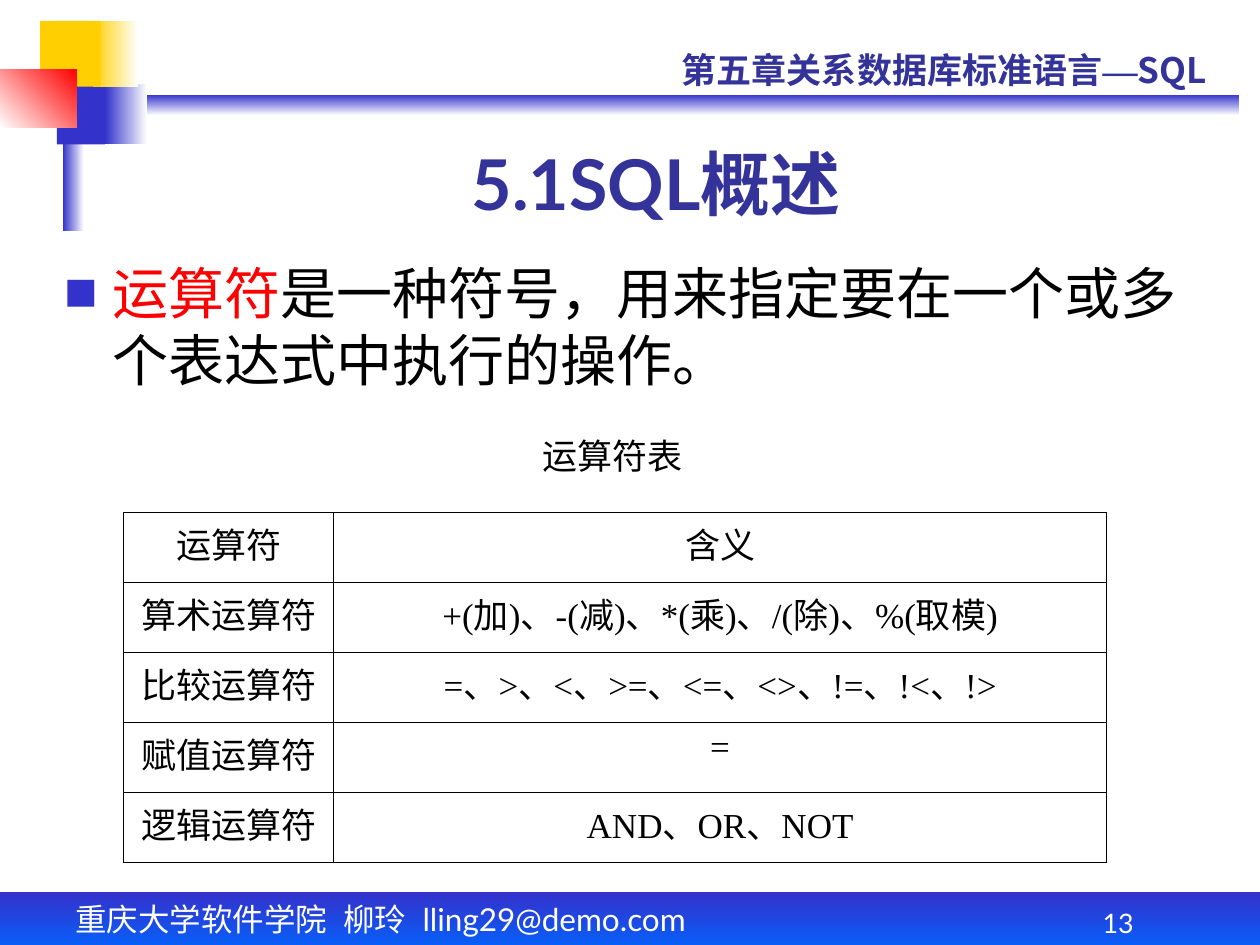
import itertools

import lxml.etree
import pptx
import pptx.dml.color
import pptx.enum.shapes
import pptx.enum.text
import pptx.oxml.ns
import pptx.util

Pt = pptx.util.Pt
RGBColor = pptx.dml.color.RGBColor
Anchor = pptx.enum.text.MSO_ANCHOR
Align = pptx.enum.text.PP_ALIGN
qn = pptx.oxml.ns.qn

BLUE = RGBColor(0x33, 0x33, 0xCC)
BRIGHT_BLUE = RGBColor(0x00, 0x66, 0xFF)
NAVY = RGBColor(0x33, 0x33, 0x99)
YELLOW = RGBColor(0xFF, 0xCF, 0x01)
RED = RGBColor(0xFF, 0x00, 0x00)
WHITE = RGBColor(0xFF, 0xFF, 0xFF)
BLACK = RGBColor(0x00, 0x00, 0x00)
LATO = "Lato"
SANS = "Noto Sans CJK SC"
SERIF = "Times New Roman"


def add_spans(para, spans, **formats):
    for text, font_name, color in spans:
        span = para.add_run()
        span.text = text
        span.font.color.rgb = color
        for name, value in {"name": font_name, **formats}.items():
            setattr(span.font, name, value)
        east_asian = lxml.etree.SubElement(span.font._element, qn("a:ea"))
        east_asian.set("typeface", font_name)


def add_text(page, place, spans, anchor=Anchor.TOP, align=Align.LEFT, **formats):
    box = page.shapes.add_textbox(*map(Pt, place))
    for name, value in {"word_wrap": True, "vertical_anchor": anchor}.items():
        setattr(box.text_frame, name, value)
    para = box.text_frame.paragraphs[0]
    para.alignment = align
    add_spans(para, spans, **formats)
    return para


deck = pptx.Presentation()
deck.slide_width, deck.slide_height = Pt(720), Pt(540)
page = deck.slides.add_slide(deck.slide_layouts[6])

decorations = [
    ((42, 54, 666, 12), (BLUE, WHITE), 270),
    ((60, 48, 24, 34.5), (BLUE, WHITE), 0),
    ((0, 510, 720, 36), (BLUE, BRIGHT_BLUE), 270),
    ((36, 42, 12, 90), (BLUE, WHITE), 0),
    ((32.5, 48, 27.5, 34.5), (BLUE,), 0),
    ((53, 12, 26, 37.5), (YELLOW, WHITE), 0),
    ((23, 12, 34.5, 37.5), (YELLOW,), 0),
    ((0, 39.5, 44, 33.25), (WHITE, RED), 45),
]
for place, colors, angle in decorations:
    block = page.shapes.add_shape(
        pptx.enum.shapes.MSO_SHAPE.RECTANGLE, *map(Pt, place))
    block.shadow.inherit = False
    block.line.fill.background()
    if len(colors) == 1:
        block.fill.solid()
        block.fill.fore_color.rgb = colors[0]
    else:
        block.fill.gradient()
        block.fill.gradient_angle = angle
        for position, (stop, color) in enumerate(zip(block.fill.gradient_stops, colors)):
            stop.position = position
            stop.color.rgb = color

add_text(page, (36, 511, 402, 29),
         [("重庆大学软件学院  柳玲  lling29@demo.com", LATO, WHITE)], size=Pt(18))
add_text(page, (382.5, 24, 325.5, 36),
         [("第五章关系数据库标准语言", SANS, NAVY), ("—", SERIF, NAVY), ("SQL", SANS, NAVY)],
         size=Pt(20), bold=True)
add_text(page, (582, 510, 114, 30), [("13", LATO, WHITE)],
         Anchor.BOTTOM, Align.CENTER, size=Pt(15.3))
add_text(page, (90, 84, 570, 48), [("5.1SQL概述", LATO, NAVY)],
         Anchor.BOTTOM, Align.CENTER, size=Pt(40), bold=True)

definition = add_text(
    page, (30, 144, 660, 354),
    [("运算符", LATO, RED),
     ("是一种符号，用来指定要在一个或多个表达式中执行的操作。", LATO, BLACK)],
    size=Pt(32))
properties = definition._p.get_or_add_pPr()
properties.set("marL", str(Pt(27)))
properties.set("indent", str(-Pt(27)))
bullet_color = lxml.etree.SubElement(properties, qn("a:buClr"))
lxml.etree.SubElement(bullet_color, qn("a:srgbClr")).set("val", str(BLUE))
for tag, attribute, value in (
    ("a:buSzPct", "val", "60000"),
    ("a:buFont", "typeface", SANS),
    ("a:buChar", "char", "■"),
):
    lxml.etree.SubElement(properties, qn(tag)).set(attribute, value)

add_text(page, (303, 244, 221, 32), [("运算符表", SANS, BLACK)],
         Anchor.MIDDLE, size=Pt(20))

operators = [
    ("运算符", "含义"),
    ("算术运算符", "+(加)、-(减)、*(乘)、/(除)、%(取模)"),
    ("比较运算符", "=、>、<、>=、<=、<>、!=、!<、!>"),
    ("赋值运算符", "="),
    ("逻辑运算符", "AND、OR、NOT"),
]
table = page.shapes.add_table(
    len(operators), 2, Pt(70.75), Pt(292.5), Pt(561.5), Pt(200)).table
table.first_row = table.horz_banding = False
for column, width in zip(table.columns, (120, 441.5)):
    column.width = Pt(width)
for row, texts in zip(table.rows, operators):
    row.height = Pt(40)
    for cell, text in zip(row.cells, texts):
        cell_properties = cell._tc.get_or_add_tcPr()
        for side in ("a:lnL", "a:lnR", "a:lnT", "a:lnB"):
            border = lxml.etree.SubElement(cell_properties, qn(side), w=str(Pt(0.45)))
            border_fill = lxml.etree.SubElement(border, qn("a:solidFill"))
            lxml.etree.SubElement(border_fill, qn("a:srgbClr")).set("val", str(BLACK))
        cell.fill.background()
        para = cell.text_frame.paragraphs[0]
        para.alignment = Align.CENTER
        spans = [("".join(letters), SERIF if ascii_text else SANS, BLACK)
                 for ascii_text, letters in itertools.groupby(text, str.isascii)]
        add_spans(para, spans, size=Pt(20))

deck.save("out.pptx")
